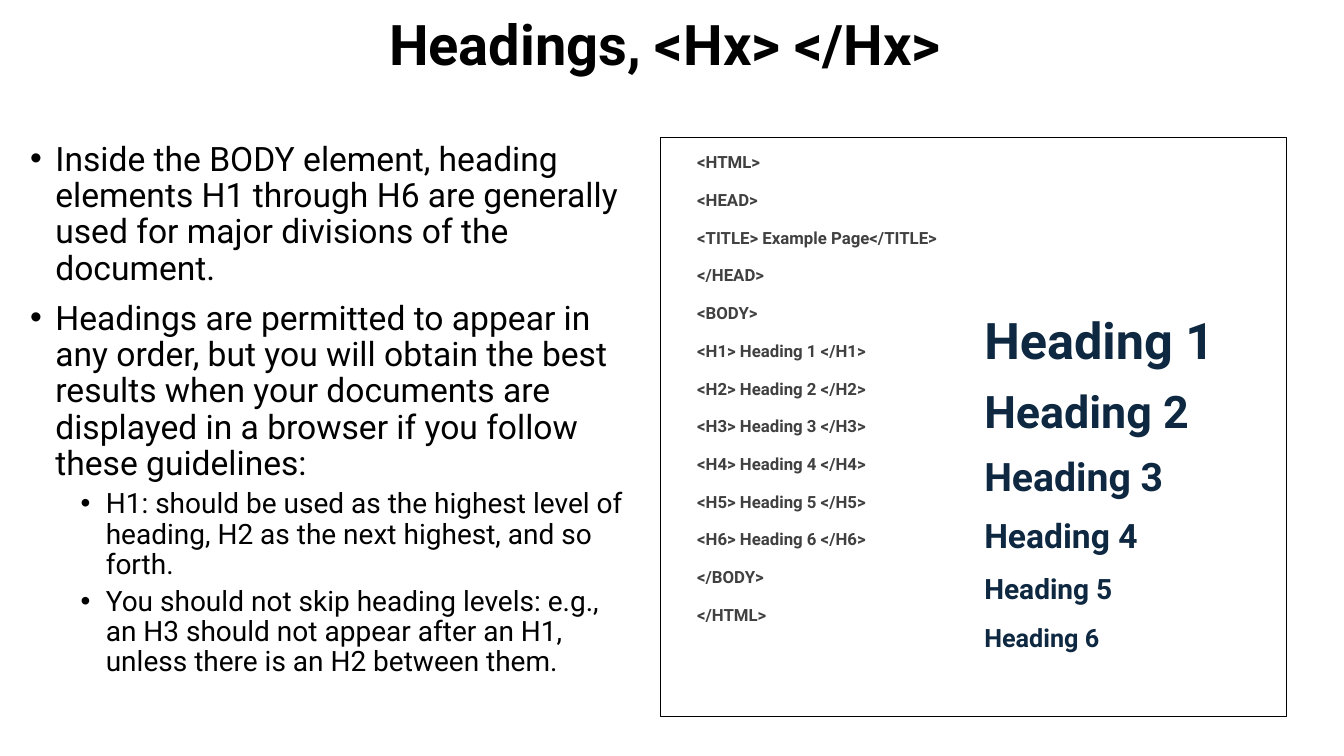
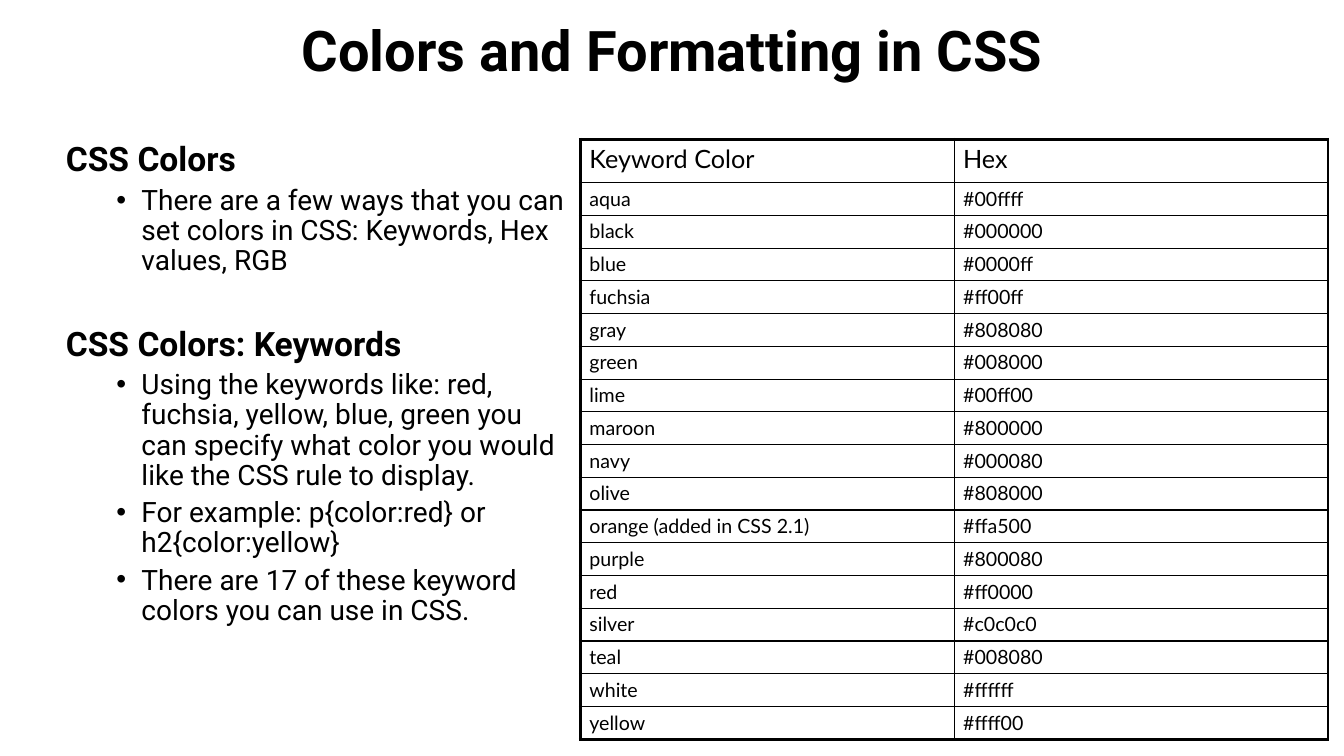
from lxml.etree import SubElement
from pptx import Presentation
from pptx.dml.color import RGBColor
from pptx.enum.shapes import MSO_SHAPE as Shape
from pptx.enum.text import MSO_ANCHOR as Anchor, PP_ALIGN as Align
from pptx.oxml.ns import qn
from pptx.util import Pt

BLACK, GRAY, NAVY = "000000", "404040", "0E2841"
THIN, THICK = 1, 2.25

CODE_LINES = [
    "<HTML>",
    "<HEAD>",
    "<TITLE> Example Page</TITLE>",
    "</HEAD>",
    "<BODY>",
    *(f"<H{n}> Heading {n} </H{n}>" for n in range(1, 7)),
    "</BODY>",
    "</HTML>",
]
HEADING_SIZES = [36, 32, 28, 24, 20, 18]

KEYWORD_COLORS = [
    ("Keyword Color", "Hex"),
    ("aqua", "#00ffff"),
    ("black", "#000000"),
    ("blue", "#0000ff"),
    ("fuchsia", "#ff00ff"),
    ("gray", "#808080"),
    ("green", "#008000"),
    ("lime", "#00ff00"),
    ("maroon", "#800000"),
    ("navy", "#000080"),
    ("olive", "#808000"),
    ("orange (added in CSS 2.1)", "#ffa500"),
    ("purple", "#800080"),
    ("red", "#ff0000"),
    ("silver", "#c0c0c0"),
    ("teal", "#008080"),
    ("white", "#ffffff"),
    ("yellow", "#ffff00"),
]


def color(value):
    return RGBColor.from_string(value)


class SlideWriter:
    font = "Roboto"
    table_font = "Lato"
    line_spacing = 0.9

    def __init__(self):
        self.deck = Presentation()
        self.deck.slide_width, self.deck.slide_height = Pt(960), Pt(540)
        self.page = None

    def new_page(self):
        self.page = self.deck.slides.add_slide(self.deck.slide_layouts[6])

    def add_span(self, para, text, size, ink=BLACK, bold=False, font=None):
        span = para.add_run()
        span.text = text
        span.font.name = font or self.font
        span.font.size = Pt(size)
        span.font.bold = bold
        span.font.color.rgb = color(ink)

    def text_frame(self, left, top, width, height):
        box = self.page.shapes.add_textbox(Pt(left), Pt(top), Pt(width), Pt(height))
        box.text_frame.word_wrap = True
        return box.text_frame

    def next_para(self, frame, before=0, after=0):
        first = frame.paragraphs[0]
        if first.runs:
            para = frame.add_paragraph()
            para.space_before = Pt(before)
        else:
            para = first
        para.space_after = Pt(after)
        para.line_spacing = self.line_spacing
        return para

    def title(self, text, left, top, width, height):
        frame = self.text_frame(left, top, width, height)
        frame.vertical_anchor = Anchor.MIDDLE
        para = self.next_para(frame)
        para.alignment = Align.CENTER
        self.add_span(para, text, 40, bold=True)

    def subhead(self, frame, text, before=0):
        self.add_span(self.next_para(frame, before), text, 24, bold=True)

    def bullet(self, frame, text, level=0):
        para = self.next_para(frame, before=5 if level else 10)
        para.level = level
        props = para._p.get_or_add_pPr()
        props.set("marL", str(Pt(18 + 36 * level)))
        props.set("indent", str(Pt(-18)))
        SubElement(props, qn("a:buFont"), typeface="Arial")
        SubElement(props, qn("a:buChar"), char="•")
        self.add_span(para, text, 20 if level else 24)

    def bold_lines(self, frame, lines, ink):
        for text, size in lines:
            para = self.next_para(frame, before=12, after=2)
            self.add_span(para, text, size, ink, bold=True)

    def outline(self, left, top, width, height):
        box = self.page.shapes.add_shape(
            Shape.RECTANGLE, Pt(left), Pt(top), Pt(width), Pt(height))
        box.shadow.inherit = False
        box.fill.background()
        box.line.color.rgb = color(BLACK)
        box.line.width = Pt(0.75)

    def cell_borders(self, cell, widths):
        props = cell._tc.get_or_add_tcPr()
        for position, (side, width) in enumerate(widths.items()):
            SubElement(props, qn(f"a:ln{side}"), w=str(Pt(width)))
            line = props[-1]
            props.insert(position, line)
            fill = SubElement(line, qn("a:solidFill"))
            SubElement(fill, qn("a:srgbClr"), val=BLACK)

    def table(self, rows, left, top, column_width, header_height, row_height):
        row_count, column_count = len(rows), len(rows[0])
        height = header_height + row_height * (row_count - 1)
        table = self.page.shapes.add_table(
            row_count, column_count, Pt(left), Pt(top),
            Pt(column_width * column_count), Pt(height)).table
        table.first_row = table.horz_banding = False
        for column in table.columns:
            column.width = Pt(column_width)
        for r, values in enumerate(rows):
            table.rows[r].height = Pt(row_height if r else header_height)
            for c, text in enumerate(values):
                cell = table.cell(r, c)
                cell.fill.background()
                cell.margin_left = cell.margin_right = Pt(6.5)
                cell.margin_top = cell.margin_bottom = Pt(3)
                self.add_span(cell.text_frame.paragraphs[0], text,
                              14 if r else 18, font=self.table_font)
                self.cell_borders(cell, {
                    "L": THIN if c else THICK,
                    "R": THICK if c == column_count - 1 else THIN,
                    "T": THIN if r else THICK,
                    "B": THICK if r == row_count - 1 else THIN,
                })


def headings_page(writer):
    writer.new_page()
    writer.title("Headings, <Hx> </Hx>", 61, 1.5, 828, 65)

    guide = writer.text_frame(14.5, 98, 440.5, 394)
    writer.bullet(guide, "Inside the BODY element, heading elements H1 through H6 "
                         "are generally used for major divisions of the document.")
    writer.bullet(guide, "Headings are permitted to appear in any order, but you will "
                         "obtain the best results when your documents are displayed "
                         "in a browser if you follow these guidelines:")
    writer.bullet(guide, "H1: should be used as the highest level of heading, "
                         "H2 as the next highest, and so forth.", 1)
    writer.bullet(guide, "You should not skip heading levels: e.g., an H3 should not "
                         "appear after an H1, unless there is an H2 between them.", 1)

    code = writer.text_frame(498, 106.5, 213, 356.5)
    code.margin_left = code.margin_right = 0
    writer.bold_lines(code, [(line, 12) for line in CODE_LINES], GRAY)

    samples = writer.text_frame(696, 222, 236, 289.5)
    writer.bold_lines(samples, [(f"Heading {n}", size) for n, size
                                in enumerate(HEADING_SIZES, 1)], NAVY)
    writer.outline(472, 98, 447, 414)


def colors_page(writer):
    writer.new_page()
    notes = writer.text_frame(40, 98.5, 374.5, 420.5)
    writer.subhead(notes, "CSS Colors")
    writer.bullet(notes, "There are a few ways that you can set colors in CSS: "
                         "Keywords, Hex values, RGB", 1)
    writer.subhead(notes, "CSS Colors: Keywords", before=36)
    writer.bullet(notes, "Using the keywords like: red, fuchsia, yellow, blue, green "
                         "you can specify what color you would like the CSS rule "
                         "to display.", 1)
    writer.bullet(notes, "For example: p{color:red} or h2{color:yellow}", 1)
    writer.bullet(notes, "There are 17 of these keyword colors you can use in CSS.", 1)

    writer.title("Colors and Formatting in CSS", 94, 7, 772, 62)
    writer.table(KEYWORD_COLORS, 414.5, 99.5, 267, 31, 23.4)


def main():
    writer = SlideWriter()
    headings_page(writer)
    colors_page(writer)
    writer.deck.save("out.pptx")


if __name__ == "__main__":
    main()
